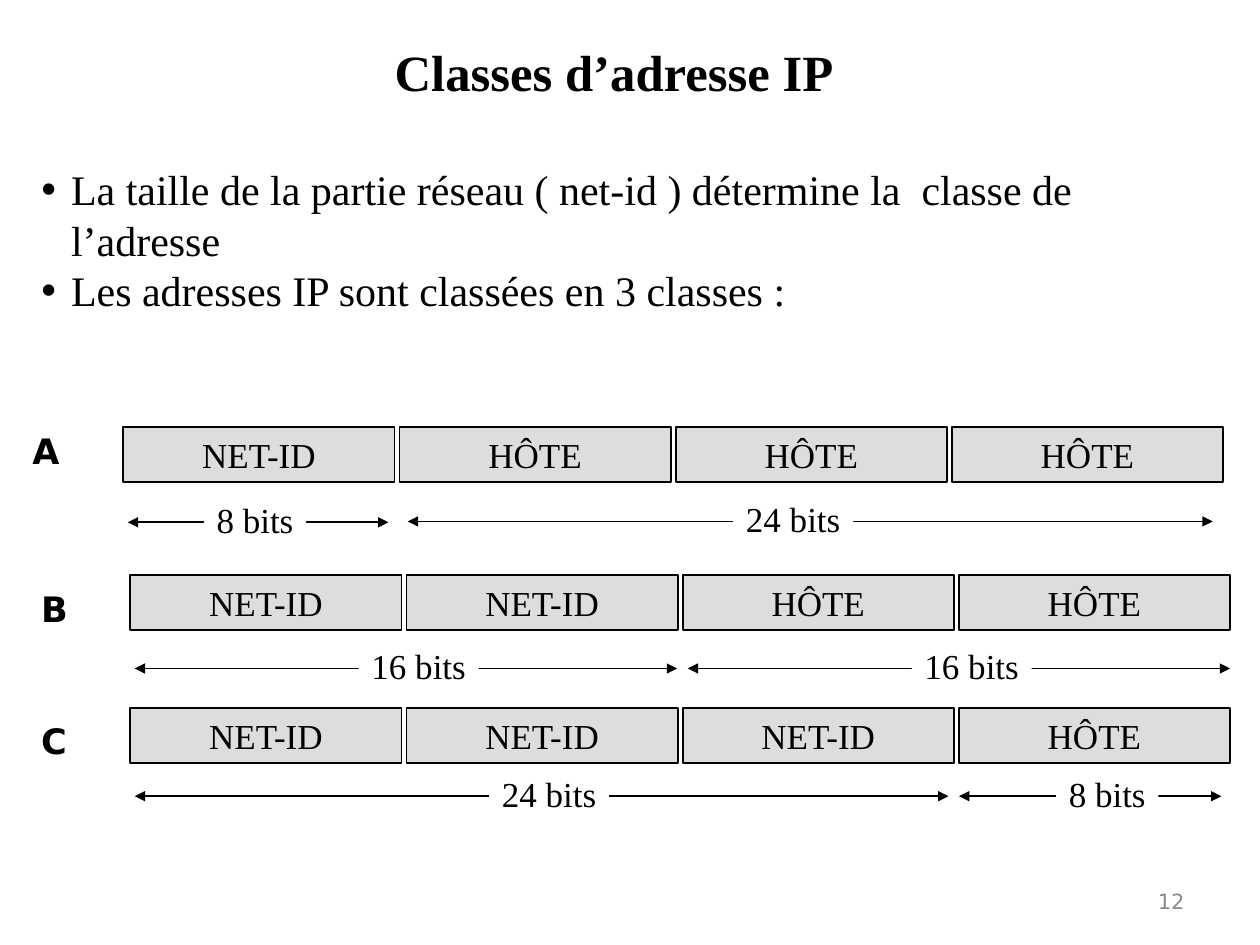
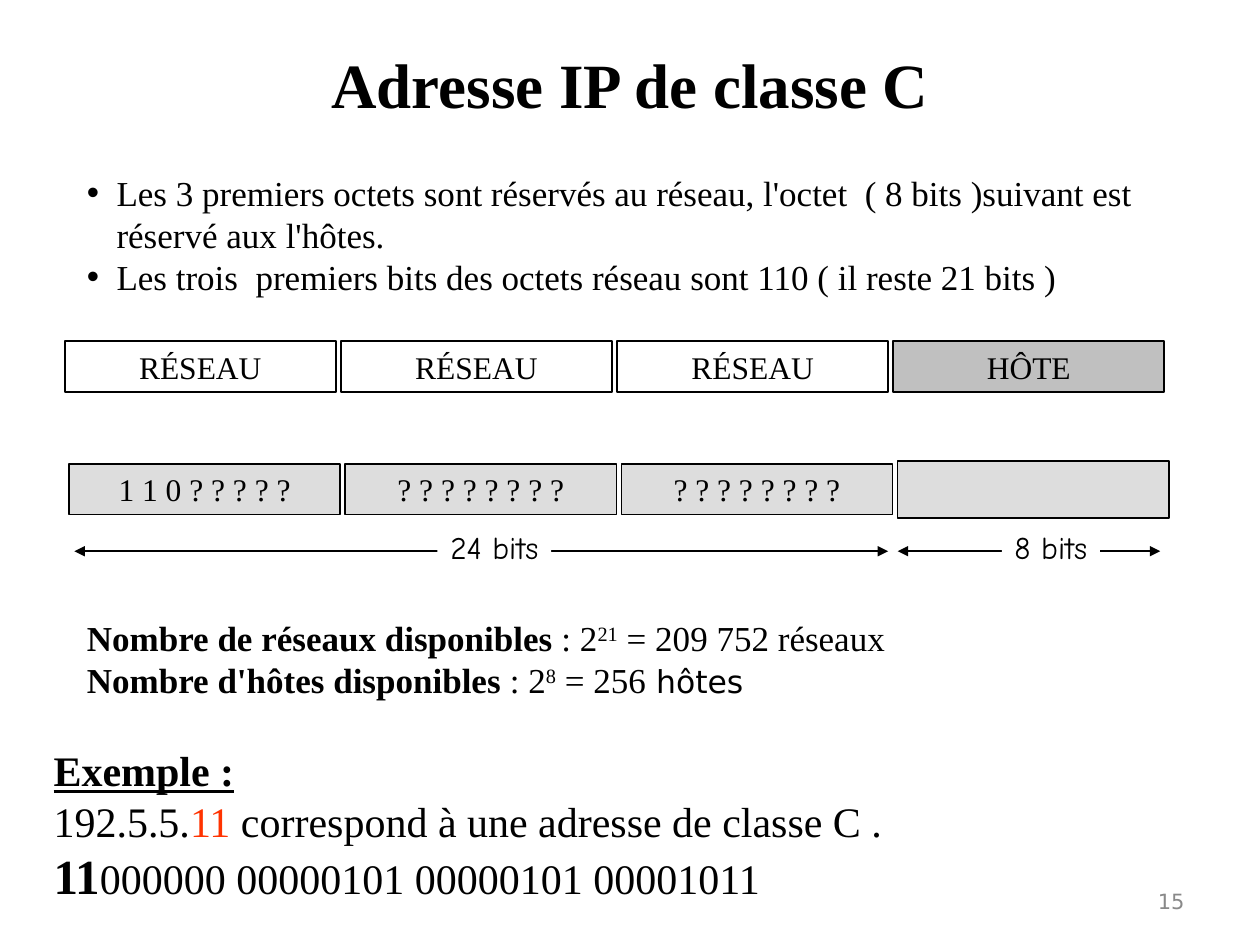
from collections import namedtuple

from lxml.etree import SubElement
from pptx import Presentation
from pptx.dml.color import RGBColor
from pptx.enum.shapes import MSO_CONNECTOR as Connector, MSO_SHAPE as Preset
from pptx.enum.text import MSO_ANCHOR as Anchor, PP_ALIGN as Align
from pptx.oxml.ns import qn
from pptx.util import Pt

COLORS = {
    "ink": "000000",
    "paper": "FFFFFF",
    "cell": "DDDDDD",
    "host": "C0C0C0",
    "accent": "FF3300",
    "footer": "898989",
}
SERIF, SANS, COMIC = "Times New Roman", "DejaVu Sans", "Comic Neue"
CELL_WIDTH, CELL_PITCH = 155, 157.8
ARROW_OFFSET = 17

Box = namedtuple("Box", "left top width height")


def rgb(name):
    """Return the named colour."""
    return RGBColor.from_string(COLORS[name])


def points(box):
    """Turn a box into four lengths."""
    return [Pt(value) for value in box]


def style_run(run, size, font=SERIF, color="ink", bold=False, underline=False, raised=False):
    """Format one run."""
    run.font.size = Pt(size)
    run.font.name = font
    run.font.bold = bold
    run.font.underline = underline
    run.font.color.rgb = rgb(color)
    if raised:
        run.font._element.set("baseline", "30000")


def write(text_frame, lines, align=Align.LEFT, anchor=Anchor.TOP, wrap=True, bullets=False, **style):
    """Fill a frame with lines, each a string or a list of (text, style) runs."""
    text_frame.word_wrap = wrap
    text_frame.vertical_anchor = anchor
    for index, line in enumerate(lines):
        paragraph = text_frame.add_paragraph() if index else text_frame.paragraphs[0]
        if bullets:
            add_bullet(paragraph)
        paragraph.alignment = align
        for text, changes in [(line, {})] if isinstance(line, str) else line:
            run = paragraph.add_run()
            run.text = text
            style_run(run, **{**style, **changes})


def add_bullet(paragraph):
    """Give a paragraph a round bullet and a hanging indent."""
    properties = paragraph._p.get_or_add_pPr()
    properties.set("marL", str(Pt(17)))
    properties.set("indent", str(-Pt(17)))
    SubElement(properties, qn("a:buFont")).set("typeface", "Arial")
    SubElement(properties, qn("a:buChar")).set("char", "•")


def text_block(slide, box, lines, **options):
    """Add a text box holding the given lines."""
    write(slide.shapes.add_textbox(*points(box)).text_frame, lines, **options)


def rectangle(slide, box, fill, outlined=True):
    """Add a plain rectangle."""
    shape = slide.shapes.add_shape(Preset.RECTANGLE, *points(box))
    shape.shadow.inherit = False
    shape.fill.solid()
    shape.fill.fore_color.rgb = rgb(fill)
    if outlined:
        shape.line.color.rgb = rgb("ink")
        shape.line.width = Pt(1)
    else:
        shape.line.fill.background()
    return shape


def address_row(slide, left, top, height, cells, size):
    """Draw the bytes of an address side by side as (text, fill) cells."""
    for index, (text, fill) in enumerate(cells):
        box = Box(left + index * CELL_PITCH, top, CELL_WIDTH, height)
        shape = rectangle(slide, box, fill)
        write(shape.text_frame, [text], align=Align.CENTER, anchor=Anchor.MIDDLE, size=size)


def bit_span(slide, box, text, label_left, label_width, **style):
    """Draw a double arrow across the box, with a label on top of it."""
    height = box.top + ARROW_OFFSET
    arrow = slide.shapes.add_connector(
        Connector.STRAIGHT, Pt(box.left), Pt(height), Pt(box.left + box.width), Pt(height)
    )
    arrow.line.color.rgb = rgb("ink")
    arrow.line.width = Pt(1)
    line = arrow.line._get_or_add_ln()
    for end in ("a:headEnd", "a:tailEnd"):
        SubElement(line, qn(end)).set("type", "triangle")
    SubElement(arrow._element.spPr, qn("a:effectLst"))
    label = rectangle(
        slide, Box(box.left + label_left, box.top, label_width, box.height), "paper", outlined=False
    )
    write(label.text_frame, [text], align=Align.CENTER, wrap=False, **style)


def new_slide(presentation, title, title_box, title_size, number):
    """Add a blank slide with its title and page number."""
    slide = presentation.slides.add_slide(presentation.slide_layouts[6])
    text_block(slide, title_box, [title], align=Align.CENTER, anchor=Anchor.MIDDLE,
               size=title_size, bold=True)
    text_block(slide, Box(516, 500.5, 168, 28.5), [number], align=Align.RIGHT,
               anchor=Anchor.MIDDLE, size=12, font=SANS, color="footer")
    return slide


def classes_slide(presentation):
    """Build the overview of the three address classes."""
    slide = new_slide(presentation, "Classes d’adresse IP", Box(36, 26, 630, 29), 29, "12")
    text_block(slide, Box(16.5, 90, 666, 94), [
        "La taille de la partie réseau ( net-id ) détermine la  classe de l’adresse",
        "Les adresses IP sont classées en 3 classes :",
    ], bullets=True, size=24)

    classes = [
        ("A", 11.5, 242, 70.5, 244, 1),
        ("B", 16.5, 332, 74.5, 328.5, 2),
        ("C", 16.5, 407.5, 74.5, 404.5, 3),
    ]
    for letter, letter_left, letter_top, left, top, network_bytes in classes:
        text_block(slide, Box(letter_left, letter_top, 45, 31.5), [letter],
                   size=20, font=SANS, bold=True)
        names = ["NET-ID"] * network_bytes + ["HÔTE"] * (4 - network_bytes)
        address_row(slide, left, top, 31.5, [(name, "cell") for name in names], 20)

    spans = [
        ("8 bits", 73, 281.5, 149, 43.5, 58.5),
        ("24 bits", 233, 281, 460, 186, 68.5),
        ("16 bits", 77, 365, 310, 128, 68.5),
        ("16 bits", 393, 365, 310, 128, 68.5),
        ("24 bits", 77, 438, 465, 202.5, 68.5),
        ("8 bits", 548, 438, 150, 55.5, 58.5),
    ]
    for text, left, top, width, label_left, label_width in spans:
        bit_span(slide, Box(left, top, width, 31.5), text, label_left, label_width, size=20)


def class_c_slide(presentation):
    """Build the slide on class C addresses."""
    slide = new_slide(presentation, "Adresse IP de classe C", Box(36, 21.5, 648, 52.5), 36, "15")
    text_block(slide, Box(42.5, 94.5, 658, 104), [
        "Les 3 premiers octets sont réservés au réseau, l'octet  ( 8 bits )suivant est"
        " réservé aux l'hôtes.",
        "Les trois  premiers bits des octets réseau sont 110 ( il reste 21 bits )",
    ], bullets=True, size=20)

    address_row(slide, 37, 195, 29, [("RÉSEAU", "paper")] * 3 + [("HÔTE", "host")], 18)
    patterns = ["1 1 0 ? ? ? ? ?"] + ["? ? ? ? ? ? ? ?"] * 2
    address_row(slide, 39.5, 265, 29, [(pattern, "cell") for pattern in patterns], 18)
    rectangle(slide, Box(39.5 + 3 * CELL_PITCH, 263.5, CELL_WIDTH, 32.5), "cell")

    bit_span(slide, Box(42.5, 298, 465, 29), "24 bits", 207.5, 65, size=18, font=COMIC)
    bit_span(slide, Box(513, 298, 150, 29), "8 bits", 59.5, 56, size=18, font=COMIC)

    bold, raised = {"bold": True}, {"raised": True}
    text_block(slide, Box(42.5, 349, 500, 55.5), [
        [("Nombre de réseaux disponibles", bold), (" : 2", {}), ("21", raised),
         (" = 209 752 réseaux", {})],
        [("Nombre d'hôtes disponibles", bold), (" : 2", {}), ("8", raised),
         (" = 256", {}), (" hôtes", {"size": 18, "font": SANS})],
    ], size=20)
    text_block(slide, Box(23.5, 422, 646, 98.5), [
        [("Exemple :", {"bold": True, "underline": True})],
        [("192.5.5.", {}), ("11 ", {"color": "accent"}),
         ("correspond à une adresse de classe C .", {})],
        [("11", {"size": 28, "bold": True}), ("000000 00000101 00000101 00001011", {})],
    ], size=24)


def main():
    """Build and save the presentation."""
    presentation = Presentation()
    presentation.slide_width, presentation.slide_height = Pt(720), Pt(540)
    classes_slide(presentation)
    class_c_slide(presentation)
    presentation.save("out.pptx")


if __name__ == "__main__":
    main()
